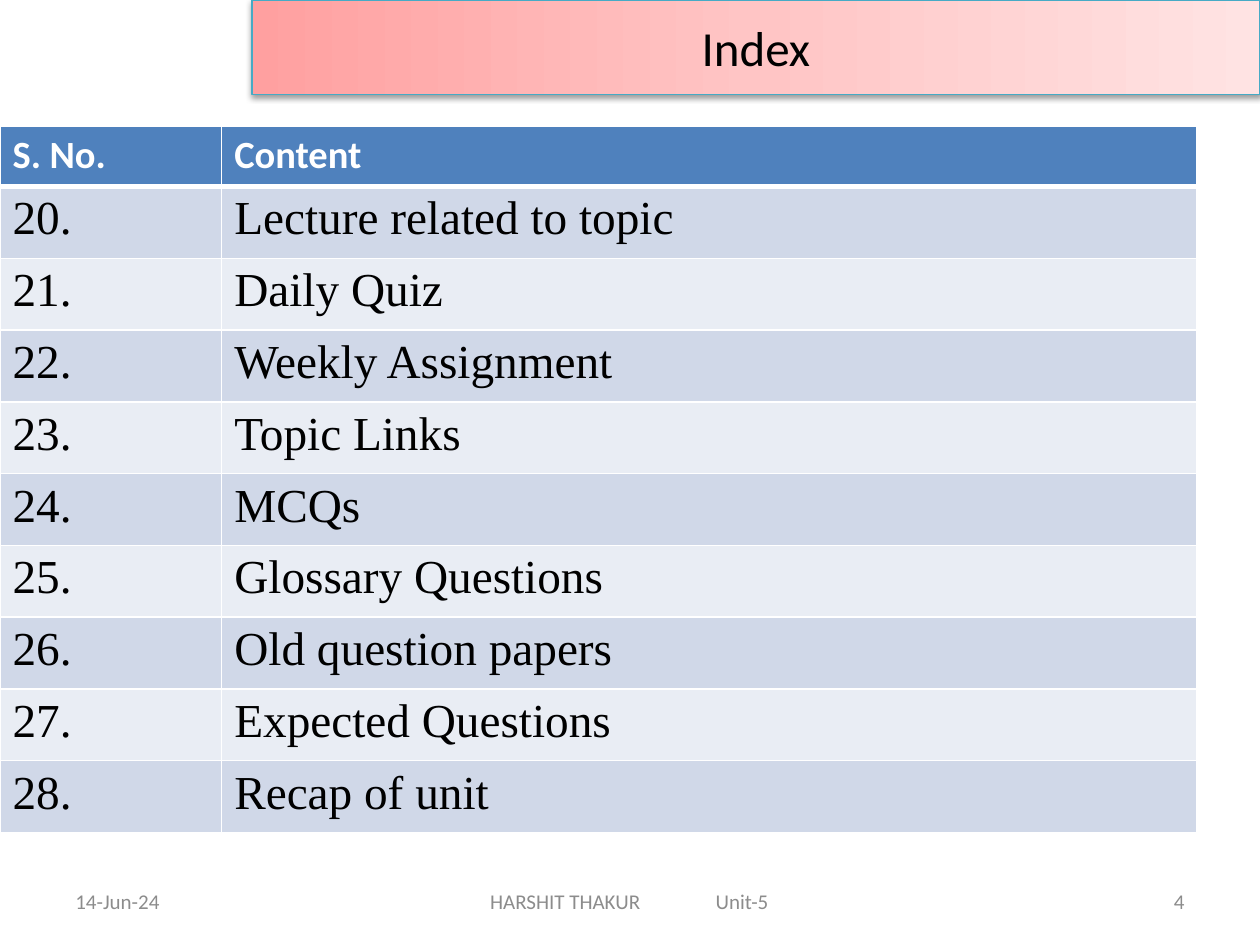
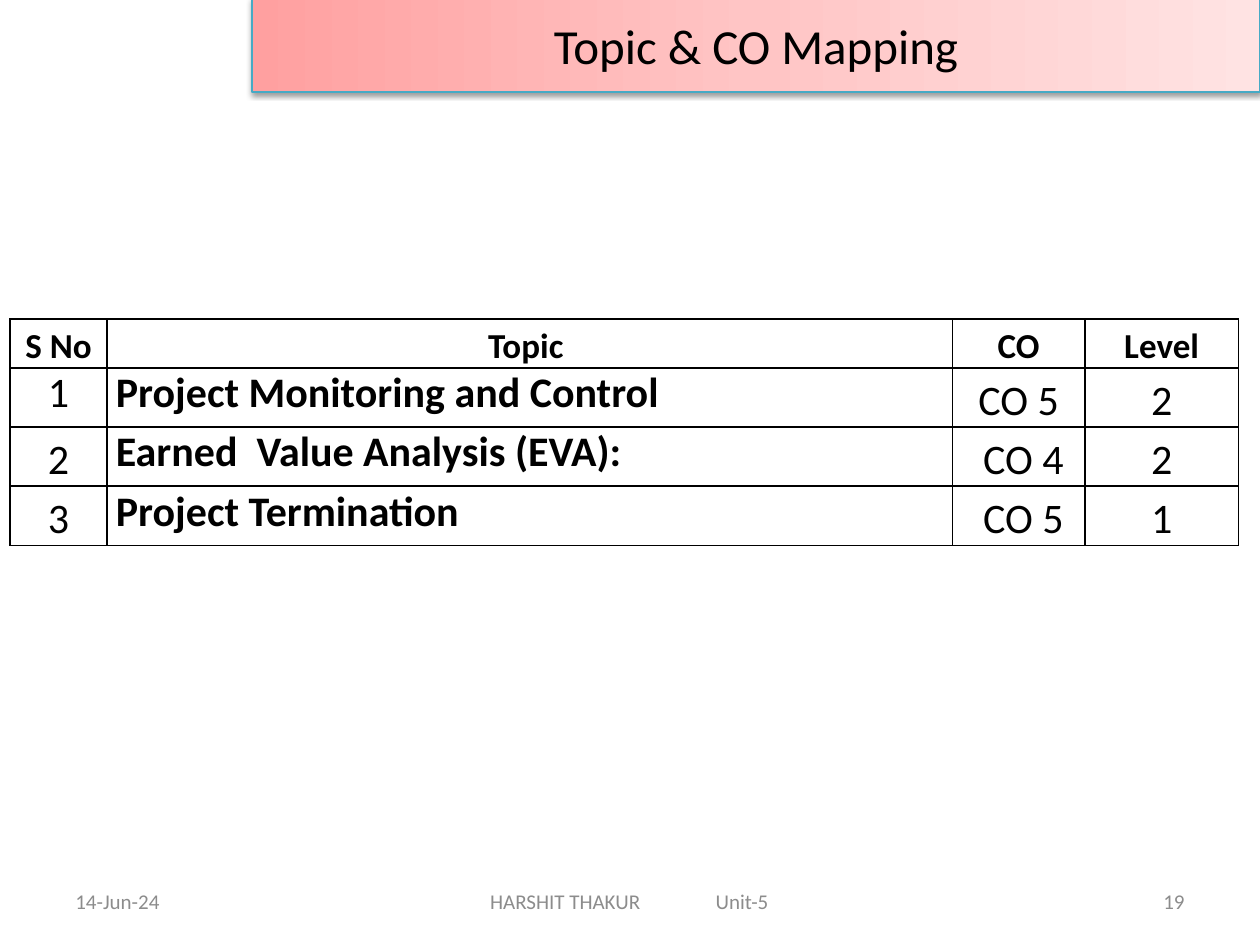
from dataclasses import dataclass
from itertools import cycle
from typing import Any, NamedTuple

import lxml.etree
import pptx
import pptx.dml.color
import pptx.enum.shapes
import pptx.enum.text
import pptx.oxml.ns
import pptx.slide
import pptx.table
import pptx.text.text
import pptx.util

Inches = pptx.util.Inches
Pt = pptx.util.Pt
Align = pptx.enum.text.PP_ALIGN
Anchor = pptx.enum.text.MSO_ANCHOR
qn = pptx.oxml.ns.qn


@dataclass(frozen=True)
class Theme:
    font: str = "Calibri"
    serif: str = "Times New Roman"
    black: str = "000000"
    white: str = "FFFFFF"
    grey: str = "8C8C8C"
    title_line: str = "46AAC5"
    title_stops: tuple[str, ...] = ("FFA0A0", "FFC5C5", "FFE3E3")
    header: str = "4F81BD"
    bands: tuple[str, ...] = ("D0D8E8", "E9EDF4")
    title_size: float = 28
    index_header_size: float = 22
    index_size: float = 27
    topic_header_size: float = 20
    topic_size: float = 24
    footer_size: float = 12


THEME = Theme()


class Footer(NamedTuple):
    text: str
    left: float
    width: float
    align: Align = Align.LEFT
    inset: float = 0.1
    tab: float | None = None


class Topic(NamedTuple):
    number: str
    name: str
    outcome: str
    level: str


FOOTERS = (
    Footer("14-Jun-24", 0.5, 2.33),
    Footer("HARSHIT THAKUR\tUnit-5", 3.42, 3.17, inset=0.47, tab=1.79),
)
INDEX_HEADER = ("S. No.", "Content")
FIRST_ENTRY = 20
ENTRIES = (
    "Lecture related to topic",
    "Daily Quiz",
    "Weekly Assignment",
    "Topic Links",
    "MCQs",
    "Glossary Questions",
    "Old question papers",
    "Expected Questions",
    "Recap of unit",
)
TOPIC_HEADER = Topic("S No", "Topic ", "CO", "Level")
TOPICS = (
    Topic("1", "Project Monitoring and Control", "CO 5", "2"),
    Topic("2", "Earned  Value Analysis (EVA): ", " CO 4", "2"),
    Topic("3", "Project Termination", " CO 5", "1"),
)


def rgb(color: str) -> pptx.dml.color.RGBColor:
    return pptx.dml.color.RGBColor.from_string(color)


def add_xml(parent: Any, tag: str, **attrs: Any) -> Any:
    return lxml.etree.SubElement(parent, qn(tag), {k: str(v) for k, v in attrs.items()})


def write(
    tf: pptx.text.text.TextFrame,
    text: str,
    *,
    size: float,
    color: str = THEME.black,
    font: str = THEME.font,
    bold: bool = False,
    align: Align = Align.LEFT,
    line_spacing: float | None = None,
    after: float | None = None,
) -> None:
    p = tf.paragraphs[0]
    p.alignment = align
    if line_spacing is not None:
        p.line_spacing = line_spacing
    if after is not None:
        p.space_after = Pt(after)
    r = p.add_run()
    r.text = text
    r.font.name = font
    r.font.size = Pt(size)
    r.font.bold = bold
    r.font.color.rgb = rgb(color)


def add_title(s: pptx.slide.Slide, text: str, top: float) -> None:
    sp = s.shapes.add_shape(
        pptx.enum.shapes.MSO_SHAPE.RECTANGLE, Inches(2), Inches(top), Inches(8), Inches(0.75)
    )
    sp.fill.gradient()
    sp.fill.gradient_angle = 0
    stops = sp.element.spPr.find(".//" + qn("a:gsLst"))
    for stop in list(stops):
        stops.remove(stop)
    for i, color in enumerate(THEME.title_stops):
        stop = add_xml(stops, "a:gs", pos=i * 50000)
        add_xml(stop, "a:srgbClr", val=color)
    sp.line.color.rgb = rgb(THEME.title_line)
    sp.line.width = Pt(0.75)
    sp.shadow.inherit = False
    effects = sp.element.spPr.find(qn("a:effectLst"))
    shadow = add_xml(
        effects, "a:outerShdw", blurRad=Pt(3.1), dist=Pt(1.6), dir=5400000, rotWithShape=0
    )
    shade = add_xml(shadow, "a:srgbClr", val=THEME.black)
    add_xml(shade, "a:alpha", val=38000)
    sp.text_frame.vertical_anchor = Anchor.MIDDLE
    write(sp.text_frame, text, size=THEME.title_size, align=Align.CENTER)


def add_footers(s: pptx.slide.Slide, page: int) -> None:
    for footer in (*FOOTERS, Footer(str(page), 7.17, 2.33, Align.RIGHT)):
        sp = s.shapes.add_textbox(
            Inches(footer.left), Inches(6.95), Inches(footer.width), Inches(0.4)
        )
        tf = sp.text_frame
        tf.word_wrap = True
        tf.vertical_anchor = Anchor.MIDDLE
        tf.margin_left = Inches(footer.inset)
        write(tf, footer.text, size=THEME.footer_size, color=THEME.grey, align=footer.align)
        if footer.tab is not None:
            tabs = add_xml(tf.paragraphs[0]._p.get_or_add_pPr(), "a:tabLst")
            add_xml(tabs, "a:tab", pos=Inches(footer.tab), algn="l")


def add_grid(
    s: pptx.slide.Slide,
    left: float,
    top: float,
    widths: tuple[float, ...],
    heights: tuple[float, ...],
) -> pptx.table.Table:
    table = s.shapes.add_table(
        len(heights), len(widths), Inches(left), Inches(top),
        Inches(sum(widths)), Inches(sum(heights)),
    ).table
    table.first_row = False
    table.horz_banding = False
    for column, width in zip(table.columns, widths):
        column.width = Inches(width)
    for row, height in zip(table.rows, heights):
        row.height = Inches(height)
    return table


def style_cell(
    cell: pptx.table._Cell,
    line: str,
    fill: str | None = None,
    top: float = 1,
    bottom: float = 1,
) -> None:
    if fill is None:
        cell.fill.background()
    else:
        cell.fill.solid()
        cell.fill.fore_color.rgb = rgb(fill)
    props = cell._tc.get_or_add_tcPr()
    for i, (side, width) in enumerate({"L": 1, "R": 1, "T": top, "B": bottom}.items()):
        ln = add_xml(props, f"a:ln{side}", w=Pt(width))
        add_xml(add_xml(ln, "a:solidFill"), "a:srgbClr", val=line)
        props.insert(i, ln)


def add_index(s: pptx.slide.Slide) -> None:
    heights = (0.48,) + (0.57,) * len(ENTRIES)
    table = add_grid(s, 0, 1, (1.76, 7.74), heights)
    for cell, text in zip(table.rows[0].cells, INDEX_HEADER):
        style_cell(cell, THEME.white, THEME.header, bottom=3)
        write(cell.text_frame, text, size=THEME.index_header_size, color=THEME.white, bold=True)
    for i, (entry, band) in enumerate(zip(ENTRIES, cycle(THEME.bands))):
        for cell, text in zip(table.rows[i + 1].cells, (f"{FIRST_ENTRY + i}.", entry)):
            style_cell(cell, THEME.white, band, top=3 if i == 0 else 1)
            write(cell.text_frame, text, size=THEME.index_size, font=THEME.serif)


def add_topics(s: pptx.slide.Slide) -> None:
    heights = (0.39,) + (0.47,) * len(TOPICS)
    table = add_grid(s, 0.08, 2.53, (0.77, 6.71, 1.05, 1.22), heights)
    for row, topic in enumerate((TOPIC_HEADER, *TOPICS)):
        for col, (field, text) in enumerate(zip(Topic._fields, topic)):
            cell = table.cell(row, col)
            cell.margin_left = cell.margin_right = Inches(0.07)
            cell.margin_top = cell.margin_bottom = Inches(0)
            style_cell(cell, THEME.black)
            is_header = row == 0
            is_name = field == "name" and not is_header
            is_first_number = row == 1 and field == "number"
            write(
                cell.text_frame,
                text,
                size=THEME.topic_header_size if is_header else THEME.topic_size,
                bold=is_header or is_name,
                align=Align.JUSTIFY if is_name else Align.CENTER,
                line_spacing=None if is_name or is_first_number else 1.15,
                after=4.8 if is_first_number else None,
            )


def main() -> None:
    prs = pptx.Presentation()
    prs.slide_width = Inches(10)
    prs.slide_height = Inches(7.5)
    blank = prs.slide_layouts[6]

    s = prs.slides.add_slide(blank)
    add_footers(s, 4)
    add_index(s)
    add_title(s, "Index", 0)

    s = prs.slides.add_slide(blank)
    add_footers(s, 19)
    add_title(s, "Topic & CO Mapping", -0.02)
    add_topics(s)

    prs.save("out.pptx")


if __name__ == "__main__":
    main()
